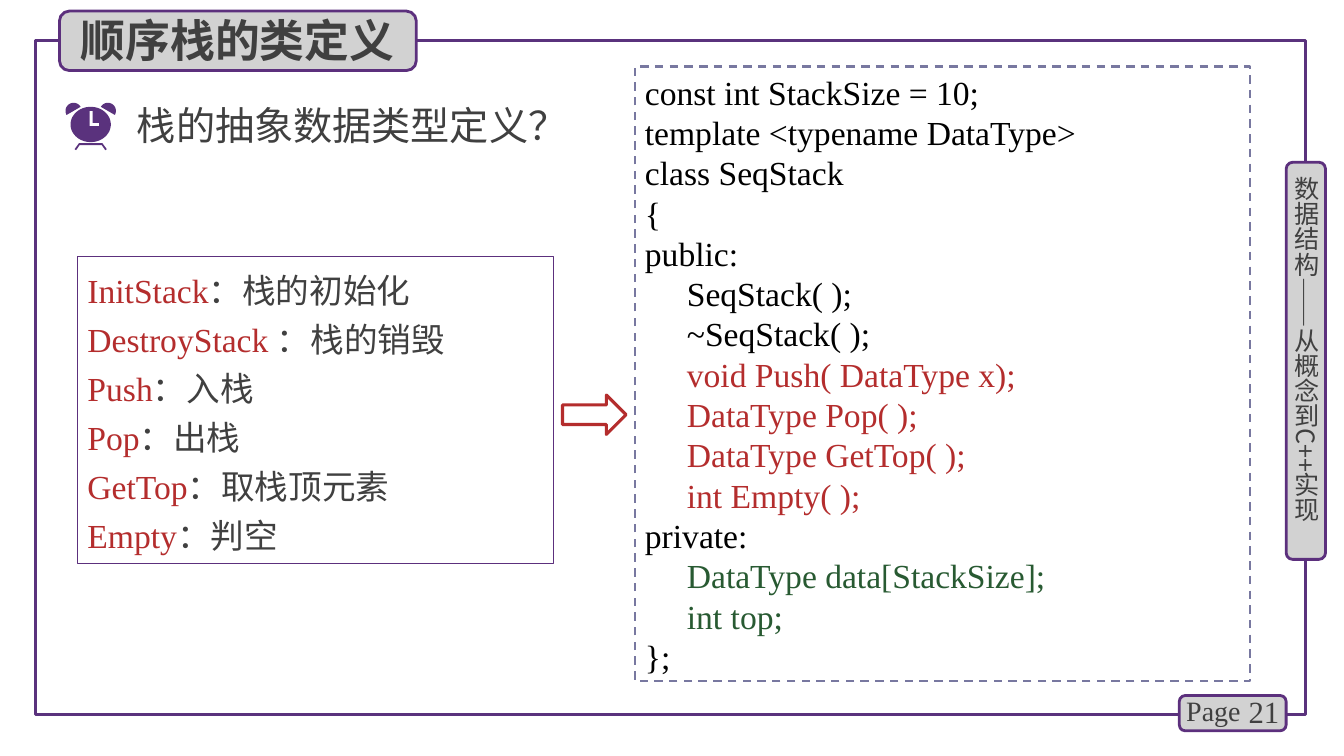
"""Build the slide on the class definition of a sequential stack."""
from dataclasses import dataclass
from math import cos, radians, sin
from typing import Optional

from lxml.etree import SubElement
from pptx import Presentation
from pptx.dml.color import RGBColor
from pptx.enum.dml import MSO_LINE
from pptx.enum.shapes import MSO_SHAPE
from pptx.enum.text import MSO_ANCHOR, MSO_AUTO_SIZE, PP_ALIGN
from pptx.oxml.ns import qn
from pptx.util import Pt


@dataclass(frozen=True)
class Theme:
    purple: str = "5C307D"
    deep_purple: str = "5A327D"
    slate: str = "7878A0"
    grey: str = "D2D2D2"
    ink: str = "404040"
    black: str = "000000"
    red: str = "B42D2D"
    green: str = "285A32"
    serif: str = "Times New Roman"
    sans: str = "Noto Sans CJK SC"
    title_size: float = 32
    question_size: float = 28
    body_size: float = 24
    number_size: float = 22
    page_size: float = 20
    side_size: float = 18
    code_pitch: float = 28.8
    list_pitch: float = 35


THEME = Theme()


@dataclass(frozen=True)
class Area:
    left: float
    top: float
    width: float
    height: float

    def lengths(self) -> tuple:
        return Pt(self.left), Pt(self.top), Pt(self.width), Pt(self.height)


@dataclass(frozen=True)
class Panel:
    area: Area
    line: str
    weight: float
    kind: MSO_SHAPE = MSO_SHAPE.RECTANGLE
    fill: Optional[str] = None


@dataclass(frozen=True)
class Span:
    text: str
    color: str = THEME.ink


@dataclass(frozen=True)
class Label:
    text: str
    area: Area
    size: float
    font: str = THEME.sans
    align: PP_ALIGN = PP_ALIGN.LEFT
    bold: bool = False


FRAME = Panel(Area(25.2, 28.8, 907.2, 481.7), THEME.deep_purple, 2.25)
TITLE_BADGE, PAGE_BADGE, SIDE_BADGE = (
    Panel(area, THEME.purple, 2, MSO_SHAPE.ROUNDED_RECTANGLE, THEME.grey)
    for area in (
        Area(42.5, 7.9, 254.9, 42.5),
        Area(842.4, 496.8, 76.3, 25.2),
        Area(918.7, 115.9, 28.1, 283.7),
    )
)
CODE_PANEL = Panel(Area(453.6, 47.5, 439.2, 439.2), THEME.slate, 1.5)
LIST_PANEL = Panel(Area(55.4, 182.9, 339.8, 219.6), THEME.purple, 0.75)
ARROW = Panel(Area(401.8, 282.2, 45.4, 28.1), THEME.red, 2.25, MSO_SHAPE.RIGHT_ARROW)

TITLE = Label("顺序栈的类定义", Area(50.4, 5, 247.7, 46.1), THEME.title_size, bold=True)
QUESTION = Label("栈的抽象数据类型定义？", Area(90.7, 68.4, 335.5, 41), THEME.question_size)
SIDE = Label("数据结构——从概念到C++实现", Area(922.3, 126, 21.6, 272.2), THEME.side_size)
PAGE_WORD = Label("Page", Area(840.2, 491.8, 56.2, 31.7), THEME.page_size, THEME.serif)
PAGE_NUMBER = Label("21", Area(878.4, 493.9, 42.5, 28.8), THEME.number_size,
                    THEME.serif, PP_ALIGN.RIGHT)

CODE = [
    (THEME.black, ["const int StackSize = 10;", "template <typename DataType>",
                   "class SeqStack", "{", "public:", "     SeqStack( );",
                   "     ~SeqStack( );"]),
    (THEME.red, ["     void Push( DataType x);", "     DataType Pop( );",
                 "     DataType GetTop( );", "     int Empty( );"]),
    (THEME.black, ["private:"]),
    (THEME.green, ["     DataType data[StackSize];", "     int top;"]),
    (THEME.black, ["};"]),
]
OPERATIONS = [
    ("InitStack", "：栈的初始化"),
    ("DestroyStack ", "：栈的销毁"),
    ("Push", "：入栈"),
    ("Pop", "：出栈"),
    ("GetTop", "：取栈顶元素"),
    ("Empty", "：判空"),
]

CLOCK_X, CLOCK_Y = 64.8, 88.9
EAR_REACH, EAR_Y, EAR_RADIUS = 12.24, 79.2, 5.76
HANDS = [(64.1, 79.2), (66.2, 79.2), (66.2, 87.8), (70.9, 87.8), (70.9, 90), (64.1, 90)]
HALF_LEGS = [(8.3, 102.2), (11.5, 106.6), (10.4, 107.3), (7.9, 103.7)]


def color(value: str) -> RGBColor:
    return RGBColor.from_string(value)


def add_panel(page, panel: Panel):
    shape = page.shapes.add_shape(panel.kind, *panel.area.lengths())
    shape.shadow.inherit = False
    if panel.fill:
        shape.fill.solid()
        shape.fill.fore_color.rgb = color(panel.fill)
    else:
        shape.fill.background()
    shape.line.color.rgb = color(panel.line)
    shape.line.width = Pt(panel.weight)
    return shape


def add_span(para, span: Span, size: float, font: str, bold: bool = False) -> None:
    run = para.add_run()
    run.text = span.text
    run.font.size = Pt(size)
    run.font.bold = bold
    run.font.name = font
    run.font.color.rgb = color(span.color)
    SubElement(run.font._element, qn("a:ea")).set("typeface", THEME.sans)


def write_lines(shape, lines: list, pitch: float) -> None:
    frame = shape.text_frame
    frame.word_wrap = True
    frame.vertical_anchor = MSO_ANCHOR.TOP
    for index, spans in enumerate(lines):
        para = frame.add_paragraph() if index else frame.paragraphs[0]
        para.alignment = PP_ALIGN.LEFT
        para.line_spacing = Pt(pitch)
        for span in spans:
            add_span(para, span, THEME.body_size, THEME.serif)


def write_label(box, label: Label) -> None:
    box.left, box.top, box.width, box.height = label.area.lengths()
    frame = box.text_frame
    frame.word_wrap = True
    frame.auto_size = MSO_AUTO_SIZE.NONE
    frame.vertical_anchor = MSO_ANCHOR.MIDDLE
    para = frame.paragraphs[0]
    para.alignment = label.align
    add_span(para, Span(label.text), label.size, label.font, label.bold)


def add_label(page, label: Label):
    box = page.shapes.add_textbox(*label.area.lengths())
    write_label(box, label)
    return box


def arc(x: float, y: float, wide: float, high: float, start: int, end: int) -> list:
    return [(x + wide * cos(radians(angle)), y + high * sin(radians(angle)))
            for angle in range(start, end + 1, 6)]


def add_outline(page, *contours: list) -> None:
    paths = [[(Pt(x), Pt(y)) for x, y in contour] for contour in contours]
    builder = page.shapes.build_freeform(*paths[0][0])
    for index, path in enumerate(paths):
        if index:
            builder.move_to(*path[0])
        builder.add_line_segments(path[1:], close=True)
    shape = builder.convert_to_shape()
    shape.shadow.inherit = False
    shape.fill.solid()
    shape.fill.fore_color.rgb = color(THEME.deep_purple)
    shape.line.fill.background()


def add_clock(page) -> None:
    right = [(CLOCK_X + x, y) for x, y in HALF_LEGS]
    left = [(CLOCK_X - x, y) for x, y in reversed(HALF_LEGS)]
    add_outline(page, right + left)
    for side, start in ((-1, 150), (1, 210)):
        add_outline(page, arc(CLOCK_X + side * EAR_REACH, EAR_Y,
                              EAR_RADIUS, EAR_RADIUS, start, start + 180))
    add_outline(page, arc(CLOCK_X, CLOCK_Y, 14.4, 12.6, 0, 354), HANDS)


def main() -> None:
    deck = Presentation()
    deck.slide_width, deck.slide_height = Pt(960), Pt(540)
    page = deck.slides.add_slide(deck.slide_layouts[5])

    for panel in (FRAME, PAGE_BADGE, SIDE_BADGE):
        add_panel(page, panel)
    for label in (PAGE_NUMBER, PAGE_WORD, QUESTION):
        add_label(page, label)
    side = add_label(page, SIDE)
    frame = side.text_frame
    frame.margin_left = frame.margin_right = frame.margin_top = frame.margin_bottom = 0
    side.element.txBody.find(qn("a:bodyPr")).set("vert", "eaVert")

    code = add_panel(page, CODE_PANEL)
    code.line.dash_style = MSO_LINE.DASH
    write_lines(code, [[Span(text, tint)] for tint, texts in CODE for text in texts],
                THEME.code_pitch)
    write_lines(add_panel(page, LIST_PANEL),
                [[Span(name, THEME.red), Span(meaning)] for name, meaning in OPERATIONS],
                THEME.list_pitch)

    badge = add_panel(page, TITLE_BADGE)
    title = page.shapes.title
    badge.element.addnext(title.element)
    write_label(title, TITLE)
    add_panel(page, ARROW)
    add_clock(page)
    deck.save("out.pptx")


if __name__ == "__main__":
    main()
